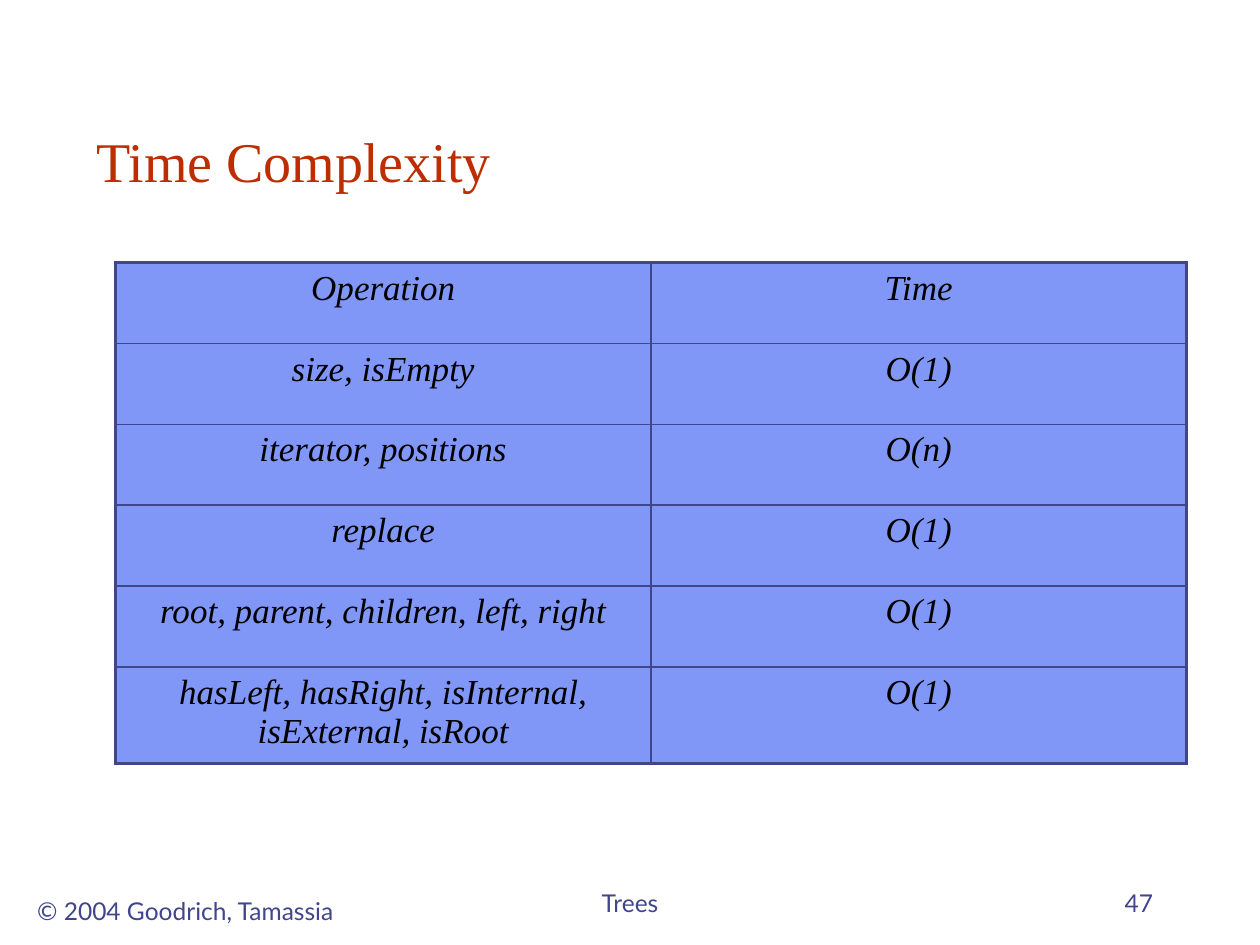
from dataclasses import dataclass

from lxml import etree
from pptx import Presentation
from pptx.dml.color import RGBColor
from pptx.enum.text import MSO_ANCHOR, PP_ALIGN
from pptx.oxml.ns import qn
from pptx.util import Pt

LEFT, CENTER, RIGHT = PP_ALIGN.LEFT, PP_ALIGN.CENTER, PP_ALIGN.RIGHT
TOP, BOTTOM = MSO_ANCHOR.TOP, MSO_ANCHOR.BOTTOM


@dataclass(frozen=True)
class Theme:
    title: str = "BE2D00"
    accent: str = "40458C"
    cell: str = "8097F8"
    body: str = "000000"
    serif: str = "Times New Roman"
    sans: str = "Lato"
    title_size: float = 32
    cell_size: float = 20
    footer_size: float = 14
    outer_line: float = 2.25
    inner_line: float = 1


@dataclass(frozen=True)
class Label:
    text: str
    box: tuple[float, float, float, float]
    align: PP_ALIGN
    anchor: MSO_ANCHOR = BOTTOM
    wrap: bool = True


THEME = Theme()

TITLE = Label("Time Complexity", (48, 24, 612, 90), LEFT)
FOOTERS = [
    Label("© 2004 Goodrich, Tamassia", (12, 508.3, 188, 24), CENTER, TOP, False),
    Label("Trees", (246, 492, 228, 36), CENTER),
    Label("47", (516, 492, 150, 36), RIGHT),
]
COMPLEXITIES = [
    ("Operation", "Time"),
    ("size, isEmpty", "O(1)"),
    ("iterator, positions", "O(n)"),
    ("replace", "O(1)"),
    ("root, parent, children, left, right", "O(1)"),
    ("hasLeft, hasRight, isInternal, isExternal, isRoot", "O(1)"),
]
TABLE_LEFT, TABLE_TOP, COL_WIDTH = 66, 150, 306
ROW_HEIGHT, LAST_ROW_HEIGHT = 46.25, 55.25


def write_text(tf, text: str, *, size: float, font: str, color: str,
               align: PP_ALIGN = LEFT, italic: bool = False) -> None:
    p = tf.paragraphs[0]
    p.alignment = align
    r = p.add_run()
    r.text = text
    r.font.size = Pt(size)
    r.font.name = font
    r.font.italic = italic
    r.font.color.rgb = RGBColor.from_string(color)


def add_label(s, label: Label, **style) -> None:
    tf = s.shapes.add_textbox(*map(Pt, label.box)).text_frame
    tf.word_wrap = label.wrap
    tf.vertical_anchor = label.anchor
    write_text(tf, label.text, align=label.align, **style)


def set_borders(cell, widths: dict[str, float], color: str) -> None:
    tc_pr = cell._tc.get_or_add_tcPr()
    for i, (side, width) in enumerate(widths.items()):
        ln = etree.Element(qn(f"a:ln{side}"), w=str(Pt(width)))
        fill = etree.SubElement(ln, qn("a:solidFill"))
        etree.SubElement(fill, qn("a:srgbClr"), val=color)
        tc_pr.insert(i, ln)  # borders come before the cell fill


def add_complexity_table(s, rows: list[tuple[str, str]]) -> None:
    n_rows, n_cols = len(rows), len(rows[0])
    heights = [ROW_HEIGHT] * (n_rows - 1) + [LAST_ROW_HEIGHT]
    table = s.shapes.add_table(
        n_rows, n_cols, Pt(TABLE_LEFT), Pt(TABLE_TOP),
        Pt(COL_WIDTH * n_cols), Pt(sum(heights))).table
    for col in table.columns:
        col.width = Pt(COL_WIDTH)
    for i, row in enumerate(rows):
        table.rows[i].height = Pt(heights[i])
        for j, text in enumerate(row):
            cell = table.cell(i, j)
            cell.fill.solid()
            cell.fill.fore_color.rgb = RGBColor.from_string(THEME.cell)
            write_text(cell.text_frame, text, size=THEME.cell_size,
                       font=THEME.serif, color=THEME.body,
                       align=CENTER, italic=True)
            # Heavy line on the table's outer edge only
            outer = {"L": j == 0, "R": j == n_cols - 1,
                     "T": i == 0, "B": i == n_rows - 1}
            widths = {side: THEME.outer_line if edge else THEME.inner_line
                      for side, edge in outer.items()}
            set_borders(cell, widths, THEME.accent)


def main() -> None:
    prs = Presentation()
    prs.slide_width, prs.slide_height = Pt(720), Pt(540)
    s = prs.slides.add_slide(prs.slide_layouts[6])

    # Footer line
    for label in FOOTERS:
        add_label(s, label, size=THEME.footer_size, font=THEME.sans,
                  color=THEME.accent)

    # Title and table
    add_label(s, TITLE, size=THEME.title_size, font=THEME.serif,
              color=THEME.title)
    add_complexity_table(s, COMPLEXITIES)

    prs.save("out.pptx")


if __name__ == "__main__":
    main()
